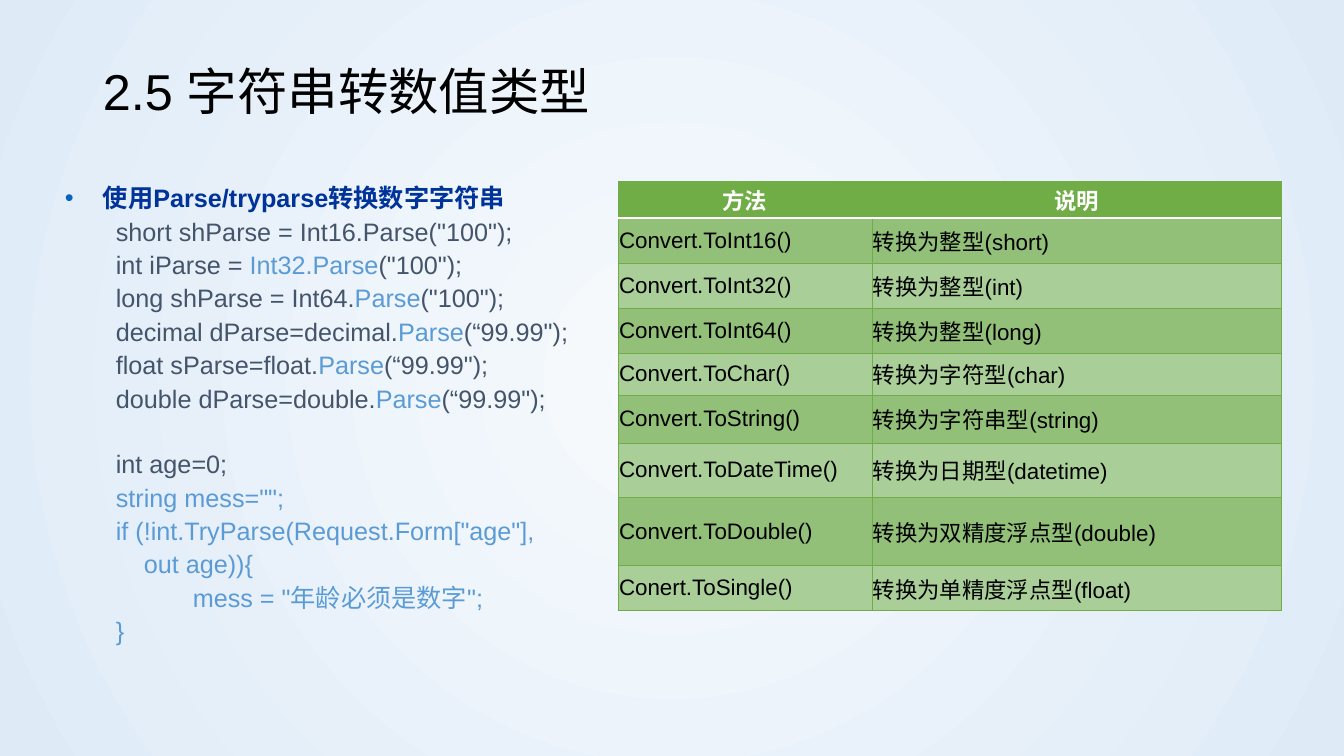
"""Build the slide on turning strings into numeric types."""
from dataclasses import dataclass

from lxml.etree import SubElement
from pptx import Presentation
from pptx.dml.color import RGBColor
from pptx.enum.text import MSO_ANCHOR, PP_ALIGN
from pptx.oxml import parse_xml
from pptx.oxml.ns import nsdecls, qn
from pptx.util import Pt

SCALE = 914400 / 100.8
FONT = "Arial"
BLACK, WHITE, GREEN = "000000", "FFFFFF", "70AD47"
NAVY, SLATE, BLUE, LINK = "003399", "44546A", "5B9BD5", "0563C1"
DARK, LIGHT = "92C079", "A9CE98"


@dataclass
class Run:
    text: str
    color: str = SLATE
    size: float = 18
    bold: bool = False


@dataclass
class Line:
    runs: list[Run]
    before: float = 4.4


@dataclass
class Row:
    height: int
    method: str
    note: str


def parse_line(head: str, call: str, tail: str) -> Line:
    return Line([Run(head), Run(call, BLUE), Run(tail)])


def blue_line(text: str) -> Line:
    return Line([Run(text, BLUE)])


CODE = [
    Line([Run('short shParse = Int16.Parse("100");')]),
    parse_line("int iParse = ", "Int32.Parse", '("100");'),
    parse_line("long shParse = Int64.", "Parse", '("100");'),
    parse_line("decimal dParse=decimal.", "Parse", '(“99.99");'),
    parse_line("float sParse=float.", "Parse", '(“99.99");'),
    parse_line("double dParse=double.", "Parse", '(“99.99");'),
    Line([Run("int age=0;")], 27.5),
    blue_line('string mess="";'),
    blue_line('if (!int.TryParse(Request.Form["age"],'),
    blue_line("    out age)){"),
    blue_line('           mess = "年龄必须是数字";'),
    blue_line("}"),
]

ROWS = [
    Row(37, "方法", "说明"),
    Row(45, "Convert.ToInt16()", "转换为整型(short)"),
    Row(45, "Convert.ToInt32()", "转换为整型(int)"),
    Row(45, "Convert.ToInt64()", "转换为整型(long)"),
    Row(42, "Convert.ToChar()", "转换为字符型(char)"),
    Row(48, "Convert.ToString()", "转换为字符串型(string)"),
    Row(54, "Convert.ToDateTime()", "转换为日期型(datetime)"),
    Row(69, "Convert.ToDouble()", "转换为双精度浮点型(double)"),
    Row(45, "Conert.ToSingle()", "转换为单精度浮点型(float)"),
]
COLS = [254, 409]


def px(n: int) -> int:
    return round(n * SCALE)


def rgb(code: str) -> RGBColor:
    return RGBColor.from_string(code)


def add_runs(para, runs: list[Run]) -> None:
    for item in runs:
        run = para.add_run()
        run.text = item.text
        font = run.font
        font.name, font.size, font.bold = FONT, Pt(item.size), item.bold
        font.color.rgb = rgb(item.color)


def add_box(slide, left: int, top: int, width: int, height: int):
    frame = slide.shapes.add_textbox(px(left), px(top), px(width), px(height)).text_frame
    frame.word_wrap = True
    return frame


def set_indent(para, left: int, first: int) -> None:
    props = para._p.get_or_add_pPr()
    props.set("marL", str(px(left)))
    props.set("indent", str(px(first)))


def set_back(slide) -> None:
    fill = slide.background.fill
    fill.gradient()
    for stop, (place, color) in zip(fill.gradient_stops, [(0, "F7FAFD"), (1, "DEEBF7")]):
        stop.position = place
        stop.color.rgb = rgb(color)
    line = slide.element.xpath(".//p:bg//a:lin")[0]
    line.getparent().replace(line, parse_xml(
        f'<a:path {nsdecls("a")} path="circle">'
        '<a:fillToRect l="50000" t="50000" r="50000" b="50000"/></a:path>'))


def add_title(slide) -> None:
    frame = add_box(slide, 93, 40, 1159, 109)
    frame.vertical_anchor = MSO_ANCHOR.MIDDLE
    para = frame.paragraphs[0]
    para.line_spacing = 0.9
    add_runs(para, [Run("2.5 字符串转数值类型", BLACK, 36)])


def add_code(slide) -> None:
    frame = add_box(slide, 55, 181, 579, 473)
    para = frame.paragraphs[0]
    set_indent(para, 38, -38)
    para.line_spacing = 0.9
    props = para._p.get_or_add_pPr()
    tint = SubElement(props, qn("a:buClr"))
    SubElement(tint, qn("a:srgbClr")).set("val", LINK)
    SubElement(props, qn("a:buFont")).set("typeface", FONT)
    SubElement(props, qn("a:buChar")).set("char", "•")
    add_runs(para, [Run("使用Parse/tryparse转换数字字符串", NAVY, bold=True)])
    for line in CODE:
        para = frame.add_paragraph()
        set_indent(para, 82, -31)
        para.line_spacing = 0.9
        para.space_before = Pt(line.before)
        add_runs(para, line.runs)


def set_edge(cell, spot: int, side: str, color: str, width: float) -> None:
    cell._tc.get_or_add_tcPr().insert(spot, parse_xml(
        f'<a:ln{side} {nsdecls("a")} w="{Pt(width)}"><a:solidFill>'
        f'<a:srgbClr val="{color}"/></a:solidFill></a:ln{side}>'))


def fill_cell(cell, text: str, row: int) -> None:
    head = row == 0
    cell.margin_left = cell.margin_right = px(1)
    cell.margin_top = cell.margin_bottom = px(1)
    cell.vertical_anchor = MSO_ANCHOR.MIDDLE
    cell.fill.solid()
    cell.fill.fore_color.rgb = rgb(GREEN if head else DARK if row % 2 else LIGHT)
    for spot, side in enumerate("LRTB"):
        white = (row, side) in [(0, "B"), (1, "T")]
        set_edge(cell, spot, side, WHITE if white else GREEN, 1 if white else 0.5)
    para = cell.text_frame.paragraphs[0]
    para.alignment = PP_ALIGN.CENTER if head else PP_ALIGN.LEFT
    add_runs(para, [Run(text, WHITE if head else BLACK, 16, head)])


def add_grid(slide) -> None:
    high = sum(row.height for row in ROWS)
    table = slide.shapes.add_table(
        len(ROWS), len(COLS), px(618), px(181), px(sum(COLS)), px(high)).table
    for col, width in zip(table.columns, COLS):
        col.width = px(width)
    for num, row in enumerate(ROWS):
        table.rows[num].height = px(row.height)
        for col, text in enumerate([row.method, row.note]):
            fill_cell(table.cell(num, col), text, num)


def main() -> None:
    deck = Presentation()
    deck.slide_width, deck.slide_height = px(1344), px(756)
    slide = deck.slides.add_slide(deck.slide_layouts[6])
    set_back(slide)
    add_title(slide)
    add_code(slide)
    add_grid(slide)
    deck.save("out.pptx")


if __name__ == "__main__":
    main()
